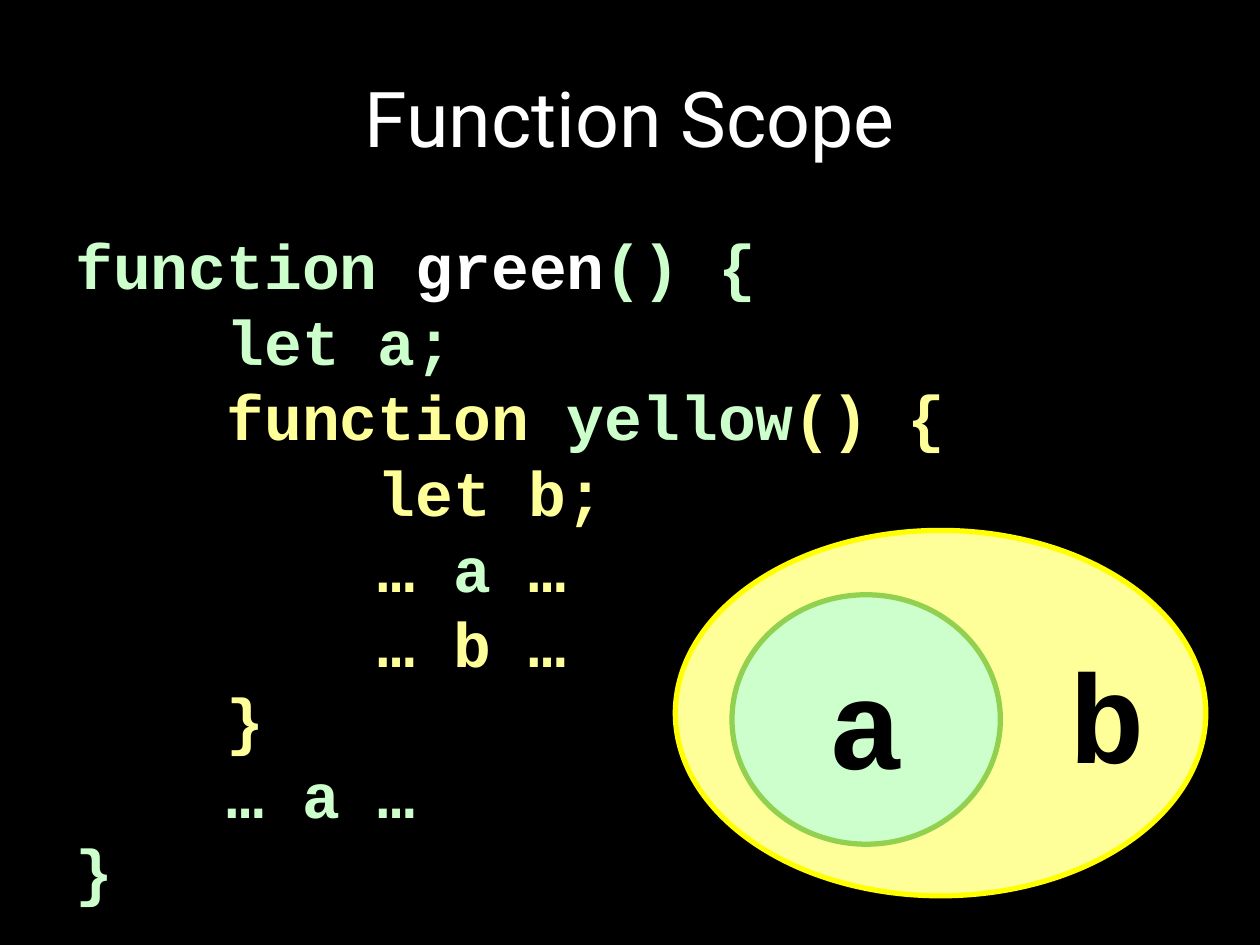
from dataclasses import dataclass

from pptx import Presentation
from pptx import util as u
from pptx.dml.color import RGBColor
from pptx.enum import shapes, text

COLS, ROWS = 100, 75
WIDTH, HEIGHT = u.Inches(10), u.Inches(7.5)


@dataclass(frozen=True)
class Theme:
    black: str = "000000"
    white: str = "FFFFFF"
    green: str = "CCFFCC"
    yellow: str = "FFFF99"
    green_edge: str = "92D050"
    yellow_edge: str = "FFFF00"
    sans: str = "Roboto"
    mono: str = "Courier New"
    title: int = 44
    code: int = 36
    label: int = 72
    edge: int = 3
    leading: float = 1.2
    indent: float = 1.2


@dataclass(frozen=True)
class Box:
    col: float
    row: float
    cols: float
    rows: float

    def emu(self) -> tuple[int, ...]:
        return (round(self.col / COLS * WIDTH), round(self.row / ROWS * HEIGHT),
                round(self.cols / COLS * WIDTH), round(self.rows / ROWS * HEIGHT))


@dataclass(frozen=True)
class Line:
    level: int
    tokens: tuple[tuple[str, str], ...]


@dataclass(frozen=True)
class Oval:
    box: Box
    fill: str
    edge: str
    label: str = ""


T = Theme()
G, Y, W = T.green, T.yellow, T.white

CODE = [
    Line(0, (("function ", G), ("green", W), ("() {", G))),
    Line(1, (("let a;", G),)),
    Line(1, (("function ", Y), ("yellow", G), ("() {", Y))),
    Line(2, (("let b;", Y),)),
    Line(2, (("… ", Y), ("a", G), (" …", Y))),
    Line(2, (("… b …", Y),)),
    Line(1, (("}", Y),)),
    Line(1, (("… a …", G),)),
    Line(0, (("}", G),)),
]
OVALS = [
    Oval(Box(53.6, 42.1, 42.1, 29), Y, T.yellow_edge),
    Oval(Box(58.1, 47.2, 21.3, 19.8), G, T.green_edge, "a"),
]


def add_run(p, words: str, color: str, **fmt) -> None:
    r = p.add_run()
    r.text = words
    for name, value in fmt.items():
        setattr(r.font, name, value)
    r.font.color.rgb = RGBColor.from_string(color)


def write(tf, lines: list[Line], size: int, font: str = T.mono, bold: bool = True,
          align=text.PP_ALIGN.LEFT, anchor=text.MSO_ANCHOR.TOP) -> None:
    for name, value in {"word_wrap": True, "vertical_anchor": anchor}.items():
        setattr(tf, name, value)
    for i, line in enumerate(lines):
        p = tf.add_paragraph() if i else tf.paragraphs[0]
        p.alignment = align
        if font == T.mono:
            p.line_spacing = u.Pt(size * T.leading)
        if line.level:
            p._p.get_or_add_pPr().set("marL", str(u.Inches(line.level * T.indent)))
        for words, color in line.tokens:
            add_run(p, words, color, size=u.Pt(size), name=font, bold=bold)


def add_text(s, box: Box, lines: list[Line], size: int, **fmt) -> None:
    write(s.shapes.add_textbox(*box.emu()).text_frame, lines, size, **fmt)


def add_oval(s, oval: Oval) -> None:
    sp = s.shapes.add_shape(shapes.MSO_SHAPE.OVAL, *oval.box.emu())
    sp.shadow.inherit = False
    sp.fill.solid()
    sp.fill.fore_color.rgb = RGBColor.from_string(oval.fill)
    sp.line.color.rgb = RGBColor.from_string(oval.edge)
    sp.line.width = u.Pt(T.edge)
    if oval.label:
        write(sp.text_frame, [Line(0, ((oval.label, T.black),))], T.label,
              align=text.PP_ALIGN.CENTER, anchor=text.MSO_ANCHOR.MIDDLE)


def main() -> None:
    prs = Presentation()
    prs.slide_width, prs.slide_height = WIDTH, HEIGHT
    s = prs.slides.add_slide(prs.slide_layouts[6])
    s.background.fill.solid()
    s.background.fill.fore_color.rgb = RGBColor.from_string(T.black)
    add_text(s, Box(5, 3, 90, 12.5), [Line(0, (("Function Scope", W),))], T.title,
             font=T.sans, bold=False, align=text.PP_ALIGN.CENTER,
             anchor=text.MSO_ANCHOR.MIDDLE)
    add_text(s, Box(5, 17.5, 90, 55), CODE, T.code)
    for oval in OVALS:
        add_oval(s, oval)
    add_text(s, Box(83.9, 50.1, 6.6, 13.1), [Line(0, (("b", T.black),))], T.label)
    prs.save("out.pptx")


if __name__ == "__main__":
    main()
